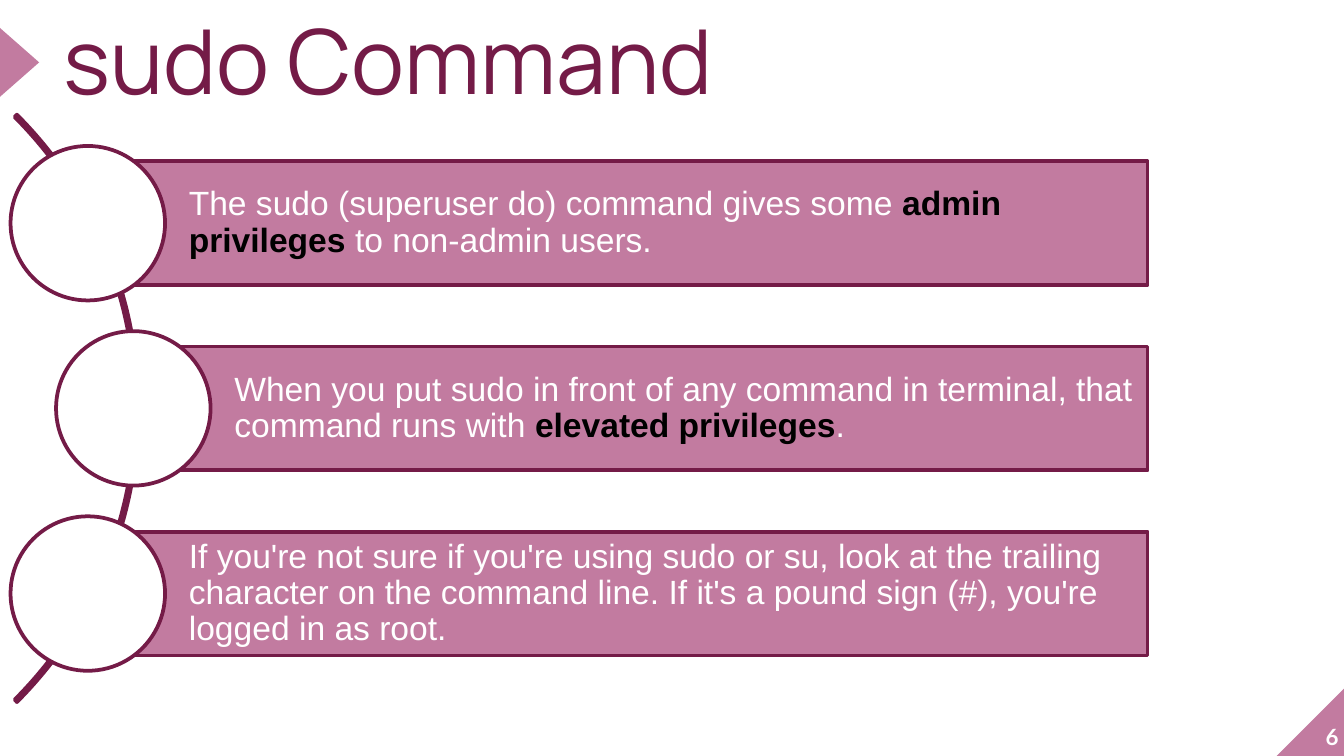
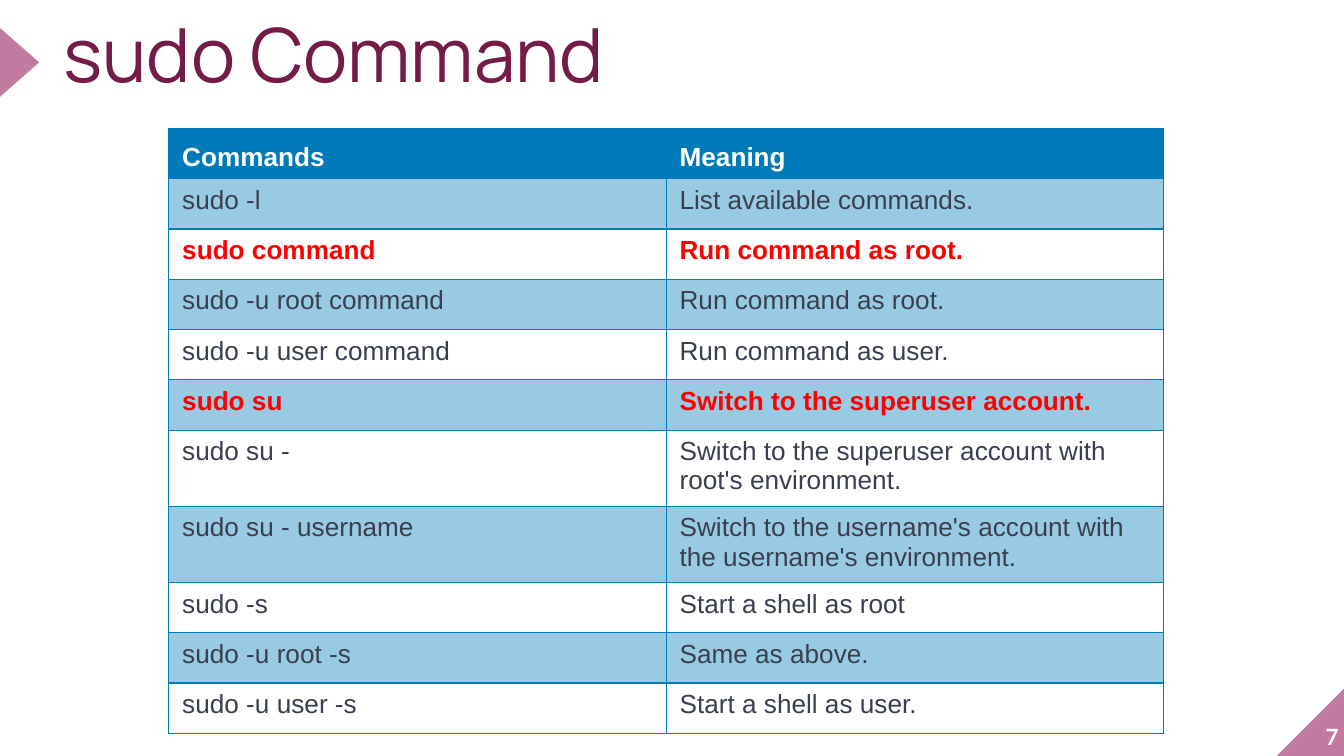
"""Build two slides that explain the sudo command."""

from dataclasses import dataclass

import pptx
import pptx.dml.color
import pptx.enum.shapes
import pptx.enum.text
import pptx.oxml
import pptx.oxml.ns
import pptx.presentation
import pptx.shapes.autoshape
import pptx.slide
import pptx.table
import pptx.text.text
import pptx.util
from lxml import etree

Cm = pptx.util.Cm
Pt = pptx.util.Pt
Shapes = pptx.enum.shapes.MSO_SHAPE
Anchor = pptx.enum.text.MSO_ANCHOR


@dataclass(frozen=True)
class Theme:
    plum: str = "741B47"
    rose: str = "C27BA0"
    white: str = "FFFFFF"
    black: str = "000000"
    blue: str = "007BB9"
    slate: str = "3A3F50"
    red: str = "FF0000"
    title_font: str = "Manrope"
    body_font: str = "Arial"
    number_font: str = "Lato"
    title_size: int = 48
    small_title_size: int = 40
    body_size: int = 18
    table_size: int = 14
    number_size: int = 12
    line_width: float = 2
    border_width: float = 0.75
    band_alpha: int = 40


@dataclass(frozen=True)
class Box:
    left: float
    top: float
    width: float
    height: float

    def lengths(self) -> tuple[Cm, Cm, Cm, Cm]:
        return Cm(self.left), Cm(self.top), Cm(self.width), Cm(self.height)


@dataclass(frozen=True)
class Run:
    text: str
    strong: bool = False


@dataclass(frozen=True)
class Point:
    circle_left: float
    runs: tuple[Run, ...]


@dataclass(frozen=True)
class CommandRow:
    command: str
    meaning: str
    highlight: bool = False
    lines: int = 1


THEME = Theme()
SLIDE_WIDTH, SLIDE_HEIGHT = 25.4, 14.29
BAR_TOP, BAR_STEP, BAR_HEIGHT, BAR_RIGHT = 3.05, 3.5, 2.34, 21.69
CIRCLE_SIZE, CIRCLE_TO_BAR = 2.92, 1.52
ROW_HEIGHTS = {1: 0.95, 2: 1.36}
COLUMN_WIDTH = 9.4

POINTS = (
    Point(0.2, (
        Run("The sudo (superuser do) command gives some "),
        Run("admin privileges", True),
        Run(" to non-admin users."),
    )),
    Point(1.06, (
        Run("When you put sudo in front of any command in terminal, that command runs with "),
        Run("elevated privileges", True),
        Run("."),
    )),
    Point(0.2, (
        Run("If you're not sure if you're using sudo or su, look at the trailing character "
            "on the command line. If it's a pound sign (#), you're logged in as root."),
    )),
)

COMMANDS = (
    CommandRow("sudo -l", "List available commands."),
    CommandRow("sudo command", "Run command as root.", highlight=True),
    CommandRow("sudo -u root command", "Run command as root."),
    CommandRow("sudo -u user command", "Run command as user."),
    CommandRow("sudo su", "Switch to the superuser account.", highlight=True),
    CommandRow("sudo su -", "Switch to the superuser account with root's environment.", lines=2),
    CommandRow("sudo su - username",
               "Switch to the username's account with the username's environment.", lines=2),
    CommandRow("sudo -s", "Start a shell as root"),
    CommandRow("sudo -u root -s", "Same as above."),
    CommandRow("sudo -u user -s", "Start a shell as user."),
)


def rgb(color: str) -> pptx.dml.color.RGBColor:
    return pptx.dml.color.RGBColor.from_string(color)


def style_font(font: pptx.text.text.Font, name: str, size: int, color: str,
               bold: bool = False) -> None:
    font.name = name
    font.size = Pt(size)
    font.bold = bold
    font.color.rgb = rgb(color)


def set_margins(text_frame: pptx.text.text.TextFrame, left: float = 0, other: float = 0) -> None:
    text_frame.margin_left = Cm(left)
    text_frame.margin_top = text_frame.margin_right = text_frame.margin_bottom = Cm(other)


def add_figure(slide: pptx.slide.Slide, kind: Shapes, box: Box, fill: str | None,
               line: str | None = None) -> pptx.shapes.autoshape.Shape:
    shape = slide.shapes.add_shape(kind, *box.lengths())
    shape.shadow.inherit = False
    if fill:
        shape.fill.solid()
        shape.fill.fore_color.rgb = rgb(fill)
    else:
        shape.fill.background()
    if line:
        shape.line.color.rgb = rgb(line)
        shape.line.width = Pt(THEME.line_width)
    else:
        shape.line.fill.background()
    return shape


def add_label(slide: pptx.slide.Slide, box: Box, text: str) -> pptx.text.text.TextFrame:
    text_frame = slide.shapes.add_textbox(*box.lengths()).text_frame
    text_frame.word_wrap = True
    set_margins(text_frame)
    text_frame.text = text
    return text_frame


def add_base_slide(presentation: pptx.presentation.Presentation, title: str, title_size: int,
                   number: int) -> pptx.slide.Slide:
    slide = presentation.slides.add_slide(presentation.slide_layouts[6])
    corner = add_figure(slide, Shapes.RIGHT_TRIANGLE, Box(24.13, 12.99, 1.3, 1.3), THEME.rose)
    corner._element.spPr.find(pptx.oxml.ns.qn("a:xfrm")).set("flipH", "1")
    pointer = add_figure(slide, Shapes.ISOSCELES_TRIANGLE, Box(-0.28, 0.81, 1.3, 0.74), THEME.rose)
    pointer.rotation = 90

    number_frame = add_label(slide, Box(24.03, 12.88, 1.27, 1.3), str(number))
    number_frame.vertical_anchor = Anchor.BOTTOM
    paragraph = number_frame.paragraphs[0]
    paragraph.alignment = pptx.enum.text.PP_ALIGN.RIGHT
    style_font(paragraph.runs[0].font, THEME.number_font, THEME.number_size, THEME.white, True)

    paragraph = add_label(slide, Box(1.2, 0.48, 15.7, 1.73), title).paragraphs[0]
    paragraph.line_spacing = 0.8
    style_font(paragraph.runs[0].font, THEME.title_font, title_size, THEME.plum)
    return slide


def add_point(slide: pptx.slide.Slide, point: Point, top: float) -> None:
    left = point.circle_left + CIRCLE_TO_BAR
    bar = add_figure(slide, Shapes.RECTANGLE, Box(left, top, BAR_RIGHT - left, BAR_HEIGHT),
                     THEME.rose, THEME.plum)
    text_frame = bar.text_frame
    text_frame.word_wrap = True
    text_frame.vertical_anchor = Anchor.MIDDLE
    set_margins(text_frame, 1.85, 0.12)
    paragraph = text_frame.paragraphs[0]
    paragraph.alignment = pptx.enum.text.PP_ALIGN.LEFT
    paragraph.line_spacing = 0.9
    for part in point.runs:
        run = paragraph.add_run()
        run.text = part.text
        color = THEME.black if part.strong else THEME.white
        style_font(run.font, THEME.body_font, THEME.body_size, color, part.strong)
    circle_top = top - (CIRCLE_SIZE - BAR_HEIGHT) / 2
    add_figure(slide, Shapes.OVAL, Box(point.circle_left, circle_top, CIRCLE_SIZE, CIRCLE_SIZE),
               THEME.white, THEME.plum)


def add_borders(cell: pptx.table._Cell) -> None:
    properties = cell._tc.get_or_add_tcPr()
    for position, side in enumerate(("lnL", "lnR", "lnT", "lnB")):
        border = pptx.oxml.parse_xml(
            f'<a:{side} {pptx.oxml.ns.nsdecls("a")} w="{Pt(THEME.border_width)}">'
            f'<a:solidFill><a:srgbClr val="{THEME.blue}"/></a:solidFill></a:{side}>')
        properties.insert(position, border)


def fill_cell(cell: pptx.table._Cell, alpha: int) -> None:
    if not alpha:
        cell.fill.background()
        return
    cell.fill.solid()
    cell.fill.fore_color.rgb = rgb(THEME.blue)
    if alpha < 100:
        color = cell._tc.tcPr.find(".//" + pptx.oxml.ns.qn("a:srgbClr"))
        etree.SubElement(color, pptx.oxml.ns.qn("a:alpha")).set("val", str(alpha * 1000))


def add_command_table(slide: pptx.slide.Slide) -> None:
    rows = (CommandRow("Commands", "Meaning"), *COMMANDS)
    heights = [ROW_HEIGHTS[row.lines] for row in rows]
    box = Box(3.19, 2.43, 2 * COLUMN_WIDTH, sum(heights))
    table = slide.shapes.add_table(len(rows), 2, *box.lengths()).table
    table.first_row = table.horz_banding = False
    for column in table.columns:
        column.width = Cm(COLUMN_WIDTH)
    for index, (row, height) in enumerate(zip(rows, heights)):
        table.rows[index].height = Cm(height)
        header = index == 0
        color = THEME.white if header else THEME.red if row.highlight else THEME.slate
        alpha = 100 if header else THEME.band_alpha * (index % 2)
        for column_index, text in enumerate((row.command, row.meaning)):
            cell = table.cell(index, column_index)
            cell.text_frame.text = text
            cell.vertical_anchor = Anchor.BOTTOM if header else Anchor.TOP
            style_font(cell.text_frame.paragraphs[0].runs[0].font, THEME.body_font,
                       THEME.table_size, color, header or row.highlight)
            fill_cell(cell, alpha)
            add_borders(cell)


def main() -> None:
    presentation = pptx.Presentation()
    presentation.slide_width = Cm(SLIDE_WIDTH)
    presentation.slide_height = Cm(SLIDE_HEIGHT)

    slide = add_base_slide(presentation, "sudo Command", THEME.title_size, 6)
    arc = add_figure(slide, Shapes.BLOCK_ARC, Box(-13.08, -0.13, 15.7, 15.7), None, THEME.plum)
    for index, value in enumerate((189, 27, 0.004)):
        arc.adjustments[index] = value
    for index, point in enumerate(POINTS):
        add_point(slide, point, BAR_TOP + index * BAR_STEP)

    slide = add_base_slide(presentation, "sudo Command", THEME.small_title_size, 7)
    add_command_table(slide)
    presentation.save("out.pptx")


if __name__ == "__main__":
    main()
